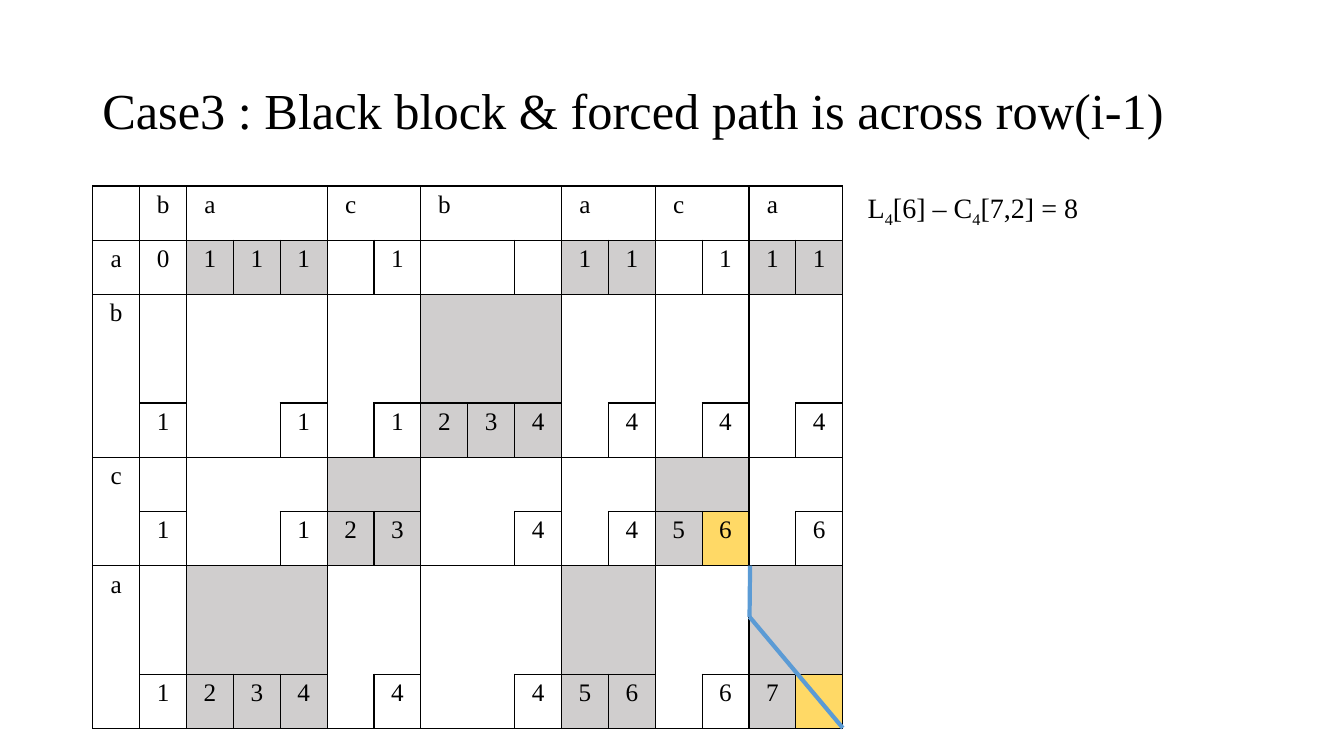
from lxml import etree
from pptx import Presentation
from pptx.dml.color import RGBColor
from pptx.enum.shapes import MSO_CONNECTOR
from pptx.enum.text import MSO_ANCHOR, PP_ALIGN
from pptx.oxml.ns import qn
from pptx.util import Pt

LINE = MSO_CONNECTOR.STRAIGHT
MIDDLE, TOP = MSO_ANCHOR.MIDDLE, MSO_ANCHOR.TOP
CENTER, LEFT = PP_ALIGN.CENTER, PP_ALIGN.LEFT

COLORS = {"ink": "000000", "white": "FFFFFF", "match": "D0CECE",
          "goal": "FFD966", "route": "5B9BD5"}

ROWS = [
    ".ba..c.b..a.c.a.",
    "a0111.1...11.111",
    "b...............",
    "................",
    ".1..1.1234.4.4.4",
    "c...............",
    ".1..123..4.456.6",
    "a...............",
    "................",
    ".1234.4..456.67.",
]
ROW_RUNS = [1, 1, 3, 2, 3]
COL_RUNS = [1, 1, 3, 2, 3, 2, 2, 2]
GOALS = {(6, 13), (9, 15)}
SIDES = {"a:lnL": (0, -1), "a:lnR": (0, 1), "a:lnT": (-1, 0), "a:lnB": (1, 0)}


def starts(runs):
    return [sum(runs[:i]) for i, n in enumerate(runs) for _ in range(n)]


class Grid:
    def __init__(self):
        self.tops, self.lefts = starts(ROW_RUNS), starts(COL_RUNS)

    def block(self, row, col):
        if 0 <= row < len(self.tops) and 0 <= col < len(self.lefts):
            return self.tops[row], self.lefts[col]
        return None

    def boxed(self, row, col):
        here = self.block(row, col)
        if here is None or row == 0 or col == 0:
            return False
        corner = here not in (self.block(row + 1, col), self.block(row, col + 1))
        return corner or ROWS[row][col] != "."

    def edge(self, row, col, down, right):
        next_to = row + down, col + right
        return (self.block(row, col) != self.block(*next_to)
                or self.boxed(row, col) or self.boxed(*next_to))

    def fill(self, row, col):
        if (row, col) in GOALS:
            return "goal"
        top, left = self.block(row, col)
        same = ROWS[top][0] == ROWS[0][left]
        return "match" if same and top > 0 and left > 1 else "white"


class Deck:
    font = "Times New Roman"

    def __init__(self, width, height):
        self.show = Presentation()
        self.show.slide_width, self.show.slide_height = Pt(width), Pt(height)
        self.slide = self.show.slides.add_slide(self.show.slide_layouts[6])

    def color(self, name):
        return RGBColor.from_string(COLORS[name])

    def style(self, font, size):
        for key, value in {"name": self.font, "size": Pt(size)}.items():
            setattr(font, key, value)
        font.color.rgb = self.color("ink")

    def text(self, place, parts, size, wrap, anchor, space):
        frame = self.slide.shapes.add_textbox(*map(Pt, place)).text_frame
        for key, value in {"word_wrap": wrap, "vertical_anchor": anchor}.items():
            setattr(frame, key, value)
        para = frame.paragraphs[0]
        for key, value in {"alignment": LEFT, "line_spacing": space}.items():
            setattr(para, key, value)
        for words, sub in parts:
            run = para.add_run()
            run.text = words
            self.style(run.font, size)
            if sub:
                run.font._element.set("baseline", "-25000")

    def border(self, cell, side, shown):
        line = etree.SubElement(cell._tc.get_or_add_tcPr(), qn(side), w=str(Pt(1)))
        if shown:
            fill = etree.SubElement(line, qn("a:solidFill"))
            etree.SubElement(fill, qn("a:srgbClr"), val=COLORS["ink"])
        else:
            etree.SubElement(line, qn("a:noFill"))

    def table(self, place, grid, size):
        count, width = len(ROWS), len(ROWS[0])
        table = self.slide.shapes.add_table(count, width, *map(Pt, place)).table
        for key in ("first_row", "horz_banding"):
            setattr(table, key, False)
        for col in table.columns:
            col.width = Pt(place[2] / width)
        for row in table.rows:
            row.height = Pt(place[3] / count)
        for r, marks in enumerate(ROWS):
            for c, mark in enumerate(marks):
                cell = table.cell(r, c)
                for side, step in SIDES.items():
                    self.border(cell, side, grid.edge(r, c, *step))
                cell.fill.solid()
                cell.fill.fore_color.rgb = self.color(grid.fill(r, c))
                para = cell.text_frame.paragraphs[0]
                para.alignment = CENTER
                if mark != ".":
                    run = para.add_run()
                    run.text = mark
                    self.style(run.font, size)

    def line(self, ends, name, width):
        link = self.slide.shapes.add_connector(LINE, *map(Pt, ends))
        link.line.color.rgb = self.color(name)
        link.line.width = Pt(width)
        etree.SubElement(link._element.spPr, qn("a:effectLst"))


def main():
    deck = Deck(960, 540)
    deck.text((66, 28.8, 828, 104.4),
              [("Case3 : Black block & forced path is across row(i-1)", False)],
              36, True, MIDDLE, 0.9)
    deck.table((66.3, 132.8, 536, 387.5), Grid(), 18)
    deck.text((612.7, 132.8, 167.8, 31.5),
              [("L", False), ("4", True), ("[6] – C", False),
               ("4", True), ("[7,2] = 8", False)],
              20, False, TOP, 1.0)
    deck.line((602, 520, 535.4, 440.6), "route", 3)
    deck.line((535.8, 404, 535.4, 440.6), "route", 3)
    deck.show.save("out.pptx")


if __name__ == "__main__":
    main()
